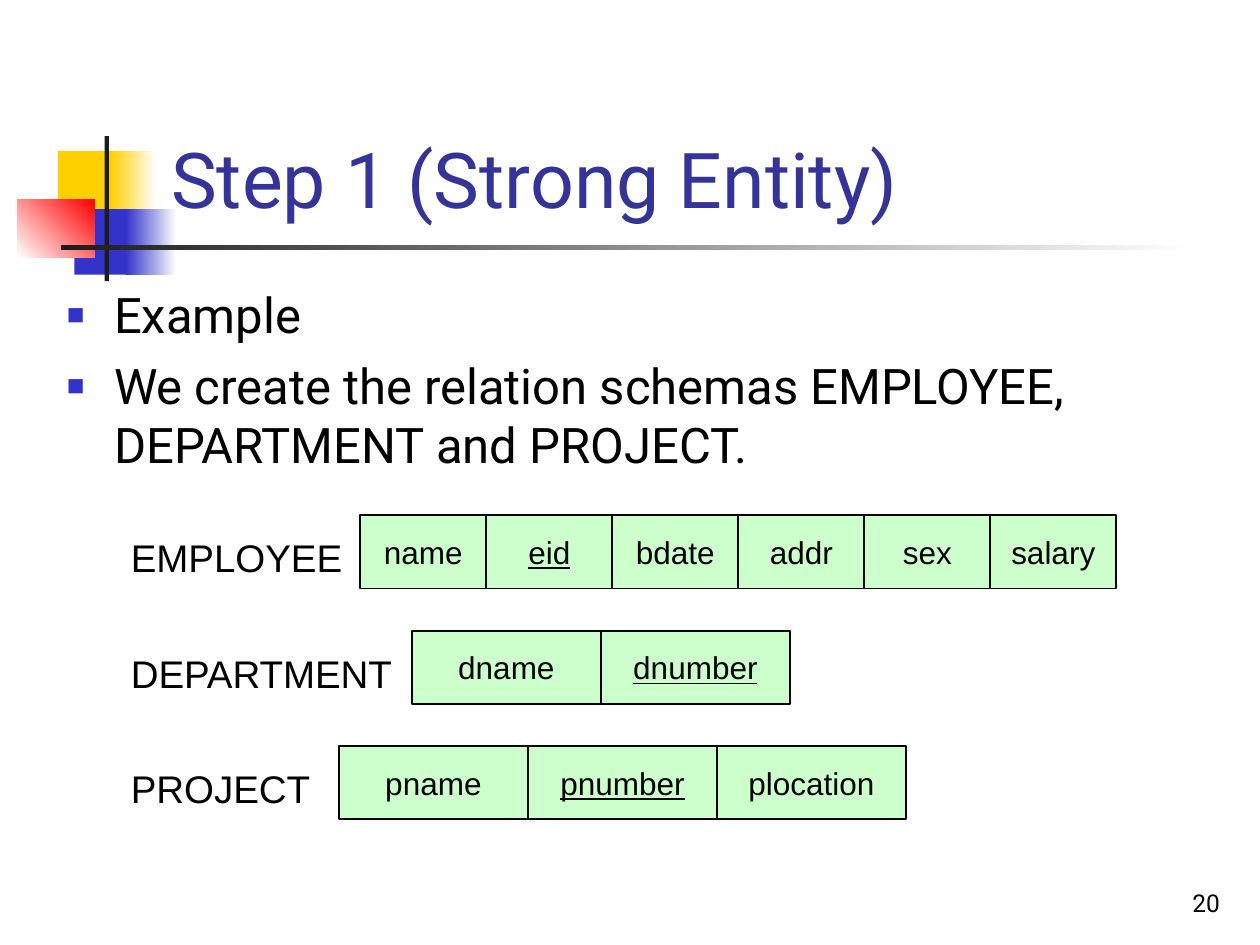
from dataclasses import dataclass

from lxml import etree
from pptx import Presentation
from pptx.dml.color import RGBColor
from pptx.enum.shapes import MSO_SHAPE
from pptx.enum.text import MSO_ANCHOR, MSO_AUTO_SIZE, PP_ALIGN
from pptx.oxml.ns import qn
from pptx.util import Pt

RECT = MSO_SHAPE.RECTANGLE
LEFT, MID, RIGHT = PP_ALIGN.LEFT, PP_ALIGN.CENTER, PP_ALIGN.RIGHT
TOP, CENTER, BASE = MSO_ANCHOR.TOP, MSO_ANCHOR.MIDDLE, MSO_ANCHOR.BOTTOM
FIXED = MSO_AUTO_SIZE.NONE

HEX = {
    "black": "000000", "white": "FFFFFF", "dark": "1C1C1C",
    "gold": "FFCF01", "blue": "3333CC", "red": "FF0000",
    "title": "333399", "cell": "CCFFCC",
}


@dataclass
class Block:
    """A plain bar of the corner motif; with an end colour it fades."""
    left: float
    top: float
    width: float
    height: float
    color: str
    end: str = ""
    angle: float = 0


@dataclass
class Schema:
    name: str
    left: float
    width: float
    fields: tuple[str, ...]
    key: str


BLOCKS = [
    Block(33.1, 86.4, 34.5, 37.4, "gold"),
    Block(63.4, 86.4, 25.9, 37.4, "gold", "white"),
    Block(42.5, 119.5, 33.1, 37.4, "blue"),
    Block(72, 119.5, 28.8, 37.4, "blue", "white"),
    Block(10, 113.8, 44, 33.1, "white", "red", 45),
    Block(59.8, 77.8, 2.4, 82.8, "dark"),
    Block(34.6, 140.2, 648, 2.4, "dark", "white"),
]
SCHEMAS = [
    Schema("EMPLOYEE", 205.9, 72, ("name", "eid", "bdate", "addr", "sex", "salary"), "eid"),
    Schema("DEPARTMENT", 235.4, 108, ("dname", "dnumber"), "dnumber"),
    Schema("PROJECT", 193.7, 108, ("pname", "pnumber", "plocation"), "pnumber"),
]
ROW_TOP, ROW_STEP = 294.5, 65.9
CELL_H, LABEL_H = 41.8, 48.2
BULLETS = [
    "Example",
    "We create the relation schemas EMPLOYEE, DEPARTMENT and PROJECT.",
]


def rgb(name: str) -> RGBColor:
    return RGBColor.from_string(HEX[name])


def write(shape, *lines: str, size: float, font: str = "Arial", color: str = "black",
          align=LEFT, anchor=CENTER, wrap: bool = False, under: bool = False,
          gap: float = 0) -> None:
    frame = shape.text_frame
    frame.auto_size = FIXED
    frame.word_wrap = wrap
    frame.vertical_anchor = anchor
    frame.text = "\n".join(lines)
    for i, para in enumerate(frame.paragraphs):
        para.alignment = align
        para.space_before = Pt(gap if i else 0)
        face = para.runs[0].font
        face.name, face.size, face.underline = font, Pt(size), under
        face.color.rgb = rgb(color)


def place(shape, left: float, top: float, width: float, height: float) -> None:
    shape.left, shape.top = Pt(left), Pt(top)
    shape.width, shape.height = Pt(width), Pt(height)


def add_rect(slide, left: float, top: float, width: float, height: float):
    shape = slide.shapes.add_shape(RECT, Pt(left), Pt(top), Pt(width), Pt(height))
    shape.shadow.inherit = False
    return shape


def add_label(slide, left: float, top: float, width: float, height: float):
    return slide.shapes.add_textbox(Pt(left), Pt(top), Pt(width), Pt(height))


def draw_block(slide, block: Block) -> None:
    shape = add_rect(slide, block.left, block.top, block.width, block.height)
    shape.line.fill.background()
    fill = shape.fill
    if block.end:
        fill.gradient()
        fill.gradient_angle = block.angle
        for stop, name in zip(fill.gradient_stops, (block.color, block.end)):
            stop.color.rgb = rgb(name)
    else:
        fill.solid()
        fill.fore_color.rgb = rgb(block.color)


def draw_schema(slide, schema: Schema, top: float) -> None:
    label = add_label(slide, 67.7, top, 120.2, LABEL_H)
    write(label, schema.name, size=22)
    for i, field in enumerate(schema.fields):
        cell = add_rect(slide, schema.left + i * schema.width, top, schema.width, CELL_H)
        cell.fill.solid()
        cell.fill.fore_color.rgb = rgb("cell")
        cell.line.color.rgb = rgb("black")
        cell.line.width = Pt(1)
        write(cell, field, size=18, align=MID, under=field == schema.key)


def add_bullet(para) -> None:
    props = para._p.get_or_add_pPr()
    props.set("marL", str(Pt(27)))
    props.set("indent", str(Pt(-27)))
    tint = etree.SubElement(props, qn("a:buClr"))
    etree.SubElement(tint, qn("a:srgbClr"), val=HEX["blue"])
    etree.SubElement(props, qn("a:buSzPct"), val="60000")
    etree.SubElement(props, qn("a:buChar"), char="■")


def main() -> None:
    deck = Presentation()
    deck.slide_width, deck.slide_height = Pt(720), Pt(540)
    slide = deck.slides.add_slide(deck.slide_layouts[1])
    title, body = slide.placeholders

    for block in BLOCKS:
        draw_block(slide, block)
    number = add_label(slide, 554.4, 491.8, 149.8, 36)
    write(number, "20", size=14, font="Roboto", align=RIGHT, anchor=BASE, wrap=True)

    place(title, 90.7, 16.6, 613.4, 115.2)
    write(title, "Step 1 (Strong Entity)", size=44, font="Roboto", color="title",
          anchor=BASE, wrap=True)
    place(body, 31, 159.1, 673.9, 324)
    write(body, *BULLETS, size=28, font="Roboto", anchor=TOP, wrap=True, gap=7)
    for para in body.text_frame.paragraphs:
        add_bullet(para)
    for holder in (title, body):  # bring the text in front of the motif
        slide.shapes._spTree.append(holder._element)

    for i, schema in enumerate(SCHEMAS):
        draw_schema(slide, schema, ROW_TOP + i * ROW_STEP)
    deck.save("out.pptx")


if __name__ == "__main__":
    main()
